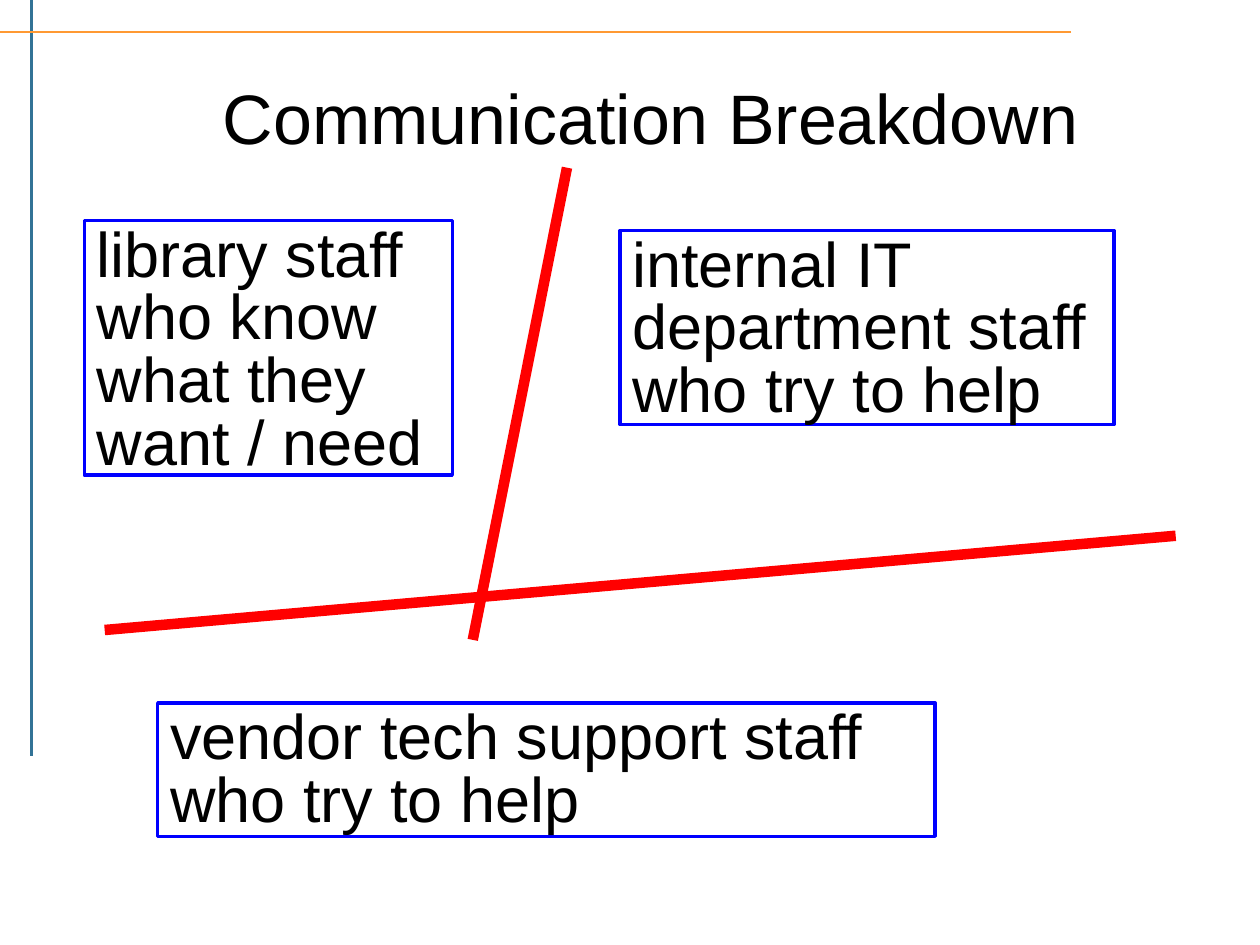
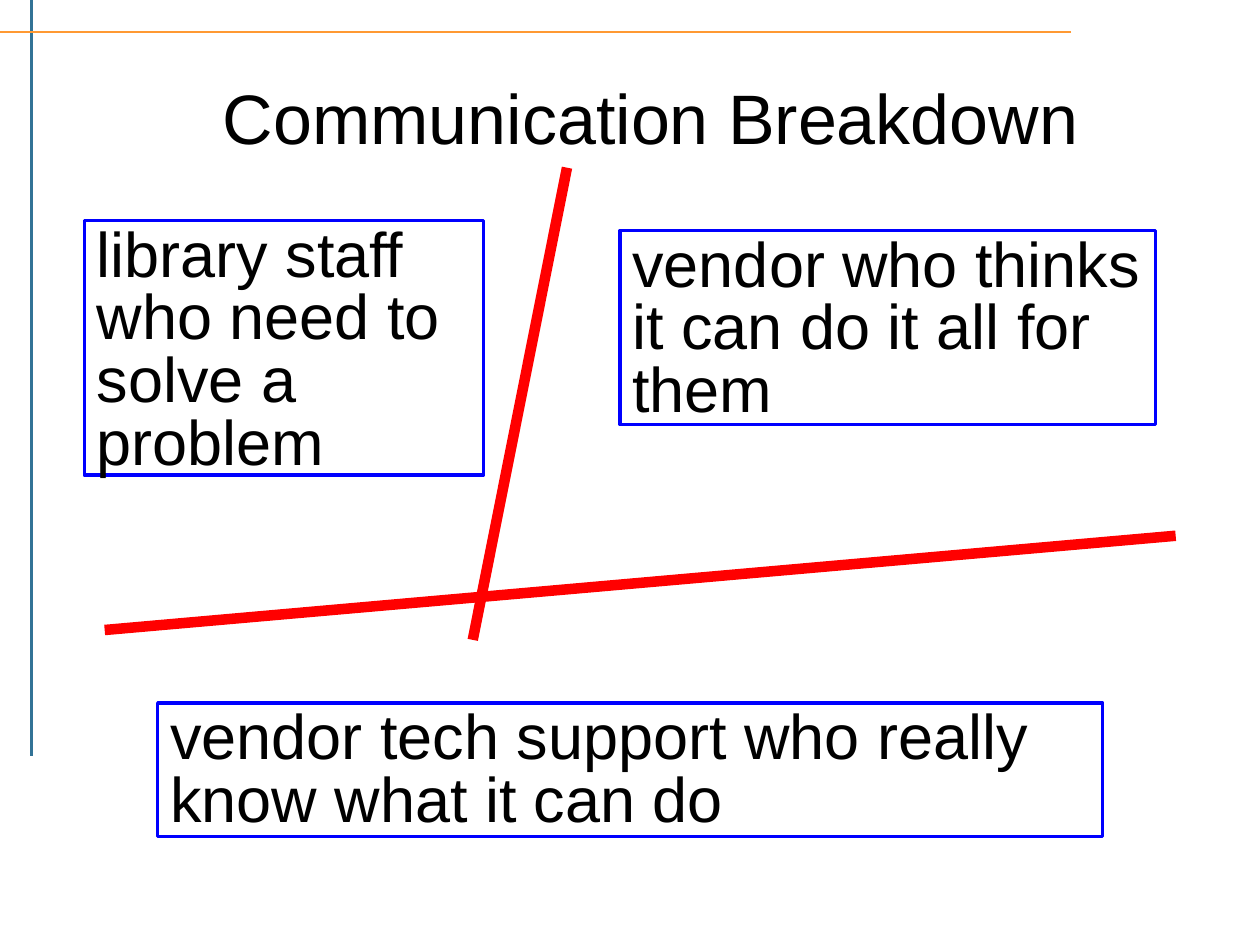
from lxml import etree
from pptx import Presentation
from pptx import util as u
from pptx.dml.color import RGBColor
from pptx.enum import shapes, text
from pptx.oxml import ns

FONT = "Arial"
COLORS = {
    "ink": "000000",
    "teal": "327396",
    "orange": "FF9933",
    "frame": "0000FF",
    "barrier": "FF0000",
}
PAGE = (0, 0, 25.4, 19.05)
TITLE = (4.24, 0.76, 19.89, 3.18)
DIAGRAM = (1.7, 3.38, 22, 13.5)
GROUP_SPOTS = [(0, 1.07, 5.13), (10.8, 1.27, 3.91), (1.48, 10.79, 2.69)]
BARRIERS = [((0.41, 9.32), (22, 7.42)), ((7.83, 9.52), (9.73, 0))]
SLIDES = [
    [
        ("library staff who know what they want / need", 7.42),
        ("internal IT department staff who try to help", 9.96),
        ("vendor tech support staff who try to help", 15.67),
    ],
    [
        ("library staff who need to solve a problem", 8.05),
        ("vendor who thinks it can do it all for them", 10.8),
        ("vendor tech support who really know what it can do", 19.05),
    ],
]


def rgb(name):
    """Return the named colour."""
    return RGBColor.from_string(COLORS[name])


def add_line(slide, box, start, end, color, width):
    """Draw a straight line between two points of the box."""
    x, y = box[:2]
    ends = [u.Cm(v) for v in (x + start[0], y + start[1], x + end[0], y + end[1])]
    ln = slide.shapes.add_connector(shapes.MSO_CONNECTOR.STRAIGHT, *ends)
    ln.line.color.rgb = rgb(color)
    ln.line.width = u.Pt(width)
    etree.SubElement(ln._element.spPr, ns.qn("a:effectLst"))


def write(sp, words, size, anchor):
    """Write one left-aligned run into the shape and return its paragraph."""
    tf = sp.text_frame
    tf.word_wrap = True
    tf.vertical_anchor = anchor
    p = tf.paragraphs[0]
    p.alignment = text.PP_ALIGN.LEFT
    r = p.add_run()
    r.text = words
    r.font.name = FONT
    r.font.size = u.Pt(size)
    r.font.color.rgb = rgb("ink")
    return p


def add_rules(slide, box):
    """Draw the crossing rules at the top left of the page."""
    add_line(slide, box, (0.64, 0), (0.64, 15.24), "teal", 1.75)
    add_line(slide, box, (21.59, 0.64), (0, 0.64), "orange", 1.25)


def add_title(slide, box, words):
    """Place and fill the title placeholder."""
    sp = slide.shapes.title
    sp.left, sp.top, sp.width, sp.height = map(u.Cm, box)
    write(sp, words, 40, text.MSO_ANCHOR.MIDDLE)


def add_group(slide, box, words):
    """Add a framed box naming one group of people."""
    sp = slide.shapes.add_shape(shapes.MSO_SHAPE.RECTANGLE, *map(u.Cm, box))
    sp.shadow.inherit = False
    sp.fill.background()
    sp.line.color.rgb = rgb("frame")
    sp.line.width = u.Pt(2)
    p = write(sp, words, 36, text.MSO_ANCHOR.TOP)
    p.line_spacing = 0.83
    sp.text_frame.auto_size = text.MSO_AUTO_SIZE.SHAPE_TO_FIT_TEXT


def add_diagram(slide, box, groups):
    """Place three groups and the barriers that divide them."""
    x, y = box[:2]
    for (words, width), (dx, dy, height) in zip(groups, GROUP_SPOTS):
        add_group(slide, (x + dx, y + dy, width, height), words)
    for start, end in BARRIERS:
        add_line(slide, box, start, end, "barrier", 6)


def main():
    """Build and save the presentation."""
    prs = Presentation()
    prs.slide_width, prs.slide_height = map(u.Cm, PAGE[2:])
    for groups in SLIDES:
        s = prs.slides.add_slide(prs.slide_layouts[5])
        add_rules(s, PAGE)
        add_title(s, TITLE, "Communication Breakdown")
        add_diagram(s, DIAGRAM, groups)
    prs.save("out.pptx")


if __name__ == "__main__":
    main()
